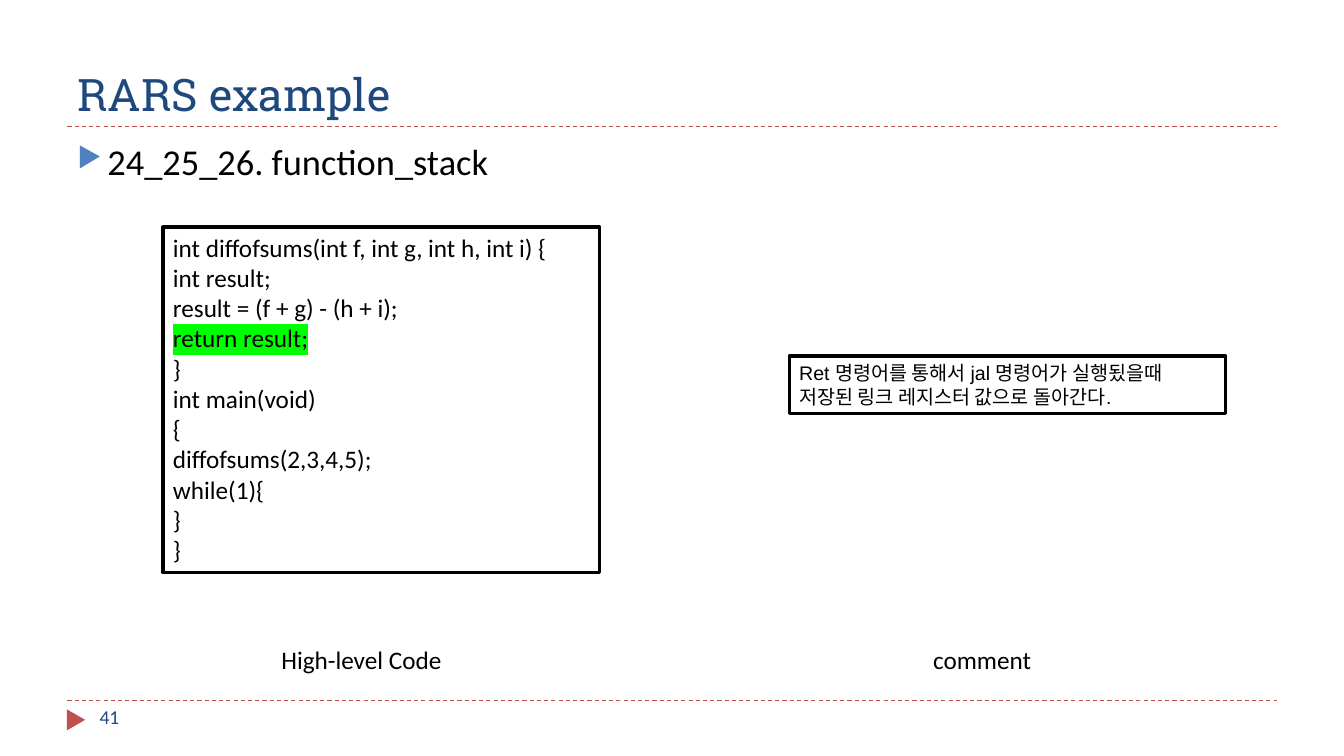
from lxml import etree
from pptx import Presentation
from pptx.dml.color import RGBColor
from pptx.enum import dml, shapes, text
from pptx.oxml import ns
from pptx.util import Cm, Pt

RED = RGBColor(0xC0, 0x50, 0x4D)
NAVY = RGBColor(0x1F, 0x49, 0x7D)
BLACK = RGBColor(0, 0, 0)
BLUE = "4F81BD"
GREEN = "00FF00"

CODE = """int diffofsums(int f, int g, int h, int i) {
int result;
result = (f + g) - (h + i);
return result;
}
int main(void)
{
diffofsums(2,3,4,5);
while(1){
}
}"""
NOTE = "Ret 명령어를 통해서 jal 명령어가 실행됬을때 저장된 링크 레지스터 값으로 돌아간다."

deck = Presentation()
deck.slide_width, deck.slide_height = Cm(33.87), Cm(19.05)
slide = deck.slides.add_slide(deck.slide_layouts[6])


def write(words, x, y, w, h, size=18, face="Calibri", color=BLACK,
          align=text.PP_ALIGN.LEFT, anchor=text.MSO_ANCHOR.TOP, border=False):
    box = slide.shapes.add_textbox(Cm(x), Cm(y), Cm(w), Cm(h))
    if border:
        box.line.color.rgb = BLACK
        box.line.width = Pt(2.25)
    frame = box.text_frame
    frame.word_wrap = True
    frame.vertical_anchor = anchor
    frame.text = words
    for para in frame.paragraphs:
        para.alignment = align
        for run in para.runs:
            run.font.size = Pt(size)
            run.font.name = face
            run.font.color.rgb = color
    return frame.paragraphs


for y in (17.65, 3.18):
    rule = slide.shapes.add_connector(
        shapes.MSO_CONNECTOR.STRAIGHT, Cm(1.7), Cm(y), Cm(32.18), Cm(y))
    rule.line.color.rgb = RED
    rule.line.width = Pt(0.75)
    rule.line.dash_style = dml.MSO_LINE.DASH
    etree.SubElement(rule._element.spPr, ns.qn("a:effectLst"))

mark = slide.shapes.add_shape(
    shapes.MSO_SHAPE.ISOSCELES_TRIANGLE, Cm(1.65), Cm(17.91), Cm(0.53), Cm(0.46))
mark.rotation = 90
mark.shadow.inherit = False
mark.fill.solid()
mark.fill.fore_color.rgb = RED
mark.line.fill.background()

write("RARS example", 1.7, 0.43, 30.48, 2.74, size=32, face="Roboto Slab",
      color=NAVY, anchor=text.MSO_ANCHOR.BOTTOM)

topic = write("24_25_26. function_stack", 1.7, 3.38, 30.48, 13.72, size=26)[0]
props = topic._p.get_or_add_pPr()
props.set("marL", str(Cm(0.76)))
props.set("indent", str(Cm(-0.76)))
tint = etree.SubElement(props, ns.qn("a:buClr"))
etree.SubElement(tint, ns.qn("a:srgbClr"), val=BLUE)
etree.SubElement(props, ns.qn("a:buSzPct"), val="76000")
etree.SubElement(props, ns.qn("a:buChar"), char="▶")

write("41", 2.26, 17.65, 7.34, 1.02, size=14, color=NAVY)
write(NOTE, 19.89, 8.97, 11, 1.45, size=14, face="Arial", border=True)

for para in write(CODE, 4.11, 5.72, 11, 8.71, border=True):
    if para.text == "return result;":
        glow = etree.Element(ns.qn("a:highlight"))
        etree.SubElement(glow, ns.qn("a:srgbClr"), val=GREEN)
        style = para.runs[0]._r.get_or_add_rPr()
        style.find(ns.qn("a:solidFill")).addnext(glow)

for label, x in (("High-level Code", 3.61), ("comment", 19.25)):
    write(label, x, 16.1, 11, 1.02, align=text.PP_ALIGN.CENTER)

deck.save("out.pptx")
